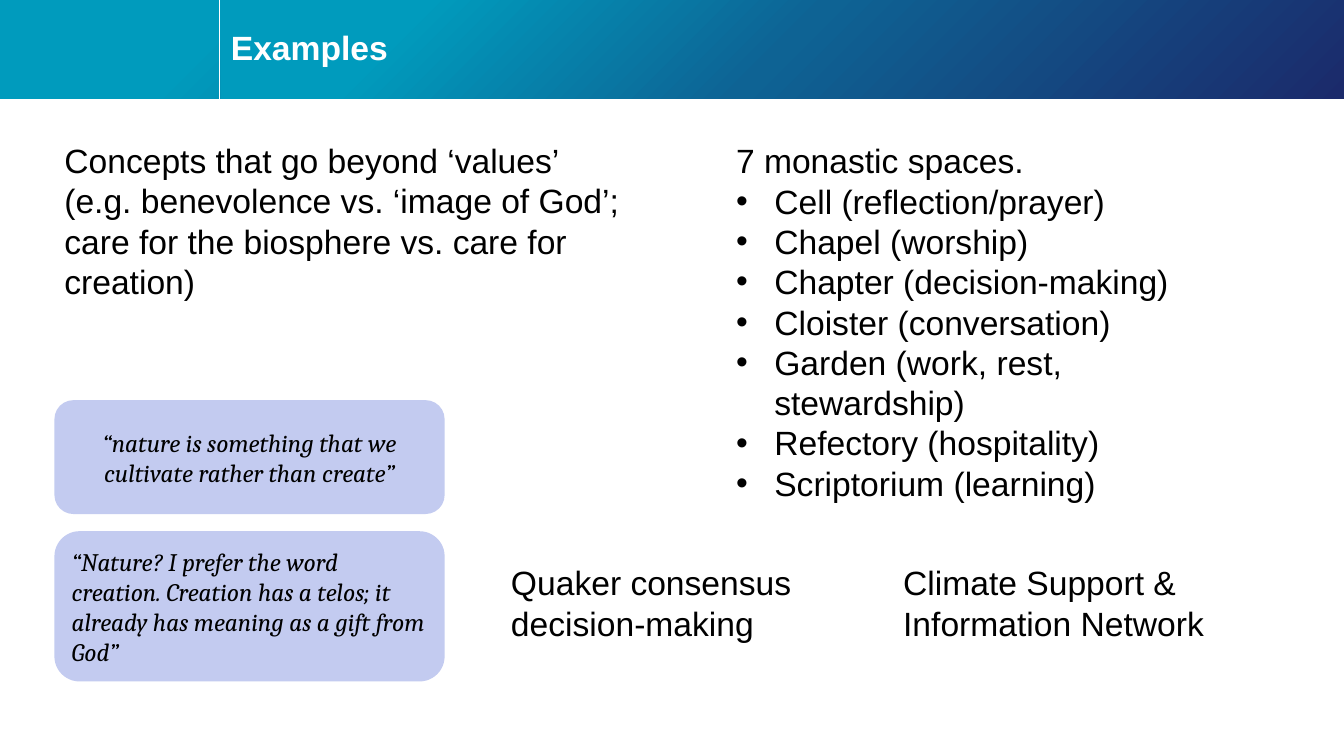
import copy

import pptx
import pptx.dml.color
import pptx.enum.shapes
import pptx.enum.text
import pptx.oxml.xmlchemy
import pptx.util
from pptx.util import Inches

RGBColor = pptx.dml.color.RGBColor
Align = pptx.enum.text.PP_ALIGN
Anchor = pptx.enum.text.MSO_ANCHOR
ShapeType = pptx.enum.shapes.MSO_SHAPE
new_element = pptx.oxml.xmlchemy.OxmlElement

WHITE = RGBColor(0xFF, 0xFF, 0xFF)
BLACK = RGBColor(0x00, 0x00, 0x00)
LAVENDER = RGBColor(0xC3, 0xCB, 0xF0)
TEAL = RGBColor(0x00, 0x9B, 0xBD)
BLUE = RGBColor(0x0E, 0x63, 0x94)
NAVY = RGBColor(0x1B, 0x2A, 0x6B)
BAND_STOPS = [(0.17, TEAL), (0.5, BLUE), (1.0, NAVY)]

SLIDE_WIDTH, SLIDE_HEIGHT = 13.33, 7.5
BAND_HEIGHT, DIVIDER_LEFT = 0.98, 2.18
MARGIN_LEFT, QUOTE_WIDTH = 0.54, 3.87
NOTE_TOP, NOTE_WIDTH, NOTE_HEIGHT = 5.53, 3.73, 0.91
BULLET_INDENT = 0.38

SPACES = [
    "Cell (reflection/prayer)",
    "Chapel (worship)",
    "Chapter (decision-making)",
    "Cloister (conversation)",
    "Garden (work, rest, stewardship)",
    "Refectory (hospitality)",
    "Scriptorium (learning)",
]


class SlideBuilder:
    """Holds the text style and the current slide."""

    font_name, font_size = "Arial", 24
    quote_font, quote_size = "Cambria", 18

    def __init__(self, presentation):
        self.slide = presentation.slides.add_slide(presentation.slide_layouts[1])

    def place(self, shape, left, top, width, height):
        shape.left, shape.top = Inches(left), Inches(top)
        shape.width, shape.height = Inches(width), Inches(height)

    def add_run(self, paragraph, text, color=BLACK, name=None, size=None,
                bold=False, italic=False):
        run = paragraph.add_run()
        run.text = text
        font = run.font
        font.name = name or self.font_name
        font.size = pptx.util.Pt(size or self.font_size)
        font.bold, font.italic = bold, italic
        font.color.rgb = color

    def prepare_frame(self, shape, anchor):
        frame = shape.text_frame
        frame.word_wrap = True
        frame.auto_size = pptx.enum.text.MSO_AUTO_SIZE.NONE
        frame.vertical_anchor = anchor
        return frame

    def add_box(self, kind, left, top, width, height):
        shape = self.slide.shapes.add_shape(
            kind, Inches(left), Inches(top), Inches(width), Inches(height))
        shape.shadow.inherit = False
        shape.line.fill.background()
        return shape

    def add_band(self, left, width):
        fill = self.add_box(ShapeType.RECTANGLE, left, 0, width, BAND_HEIGHT).fill
        fill.gradient()
        fill.gradient_angle = 315
        first_stop = fill.gradient_stops[0]._gs
        first_stop.addnext(copy.deepcopy(first_stop))
        for stop, (position, color) in zip(fill.gradient_stops, BAND_STOPS):
            stop.position = position
            stop.color.rgb = color

    def add_divider(self, left, height):
        line = self.slide.shapes.add_connector(
            pptx.enum.shapes.MSO_CONNECTOR.STRAIGHT,
            Inches(left), 0, Inches(left), Inches(height))
        line.line.color.rgb = WHITE
        line.line.width = pptx.util.Pt(0.5)
        line._element.spPr.append(new_element("a:effectLst"))

    def set_title(self, text, *bounds):
        title = self.slide.shapes.title
        title.element.getparent().append(title.element)  # in front of the bands
        self.place(title, *bounds)
        paragraph = self.prepare_frame(title, Anchor.MIDDLE).paragraphs[0]
        paragraph.alignment = Align.LEFT
        paragraph.line_spacing = 0.9
        self.add_run(paragraph, text, WHITE, bold=True)

    def add_quote(self, text, top, height, alignment):
        shape = self.add_box(ShapeType.ROUNDED_RECTANGLE, MARGIN_LEFT, top,
                             QUOTE_WIDTH, height)
        shape.fill.solid()
        shape.fill.fore_color.rgb = LAVENDER
        paragraph = self.prepare_frame(shape, Anchor.MIDDLE).paragraphs[0]
        paragraph.alignment = alignment
        self.add_run(paragraph, text, name=self.quote_font,
                     size=self.quote_size, italic=True)

    def add_text(self, lines, left, top, width, height):
        shape = self.slide.shapes.add_textbox(
            Inches(left), Inches(top), Inches(width), Inches(height))
        paragraph = self.prepare_frame(shape, Anchor.TOP).paragraphs[0]
        for index, line in enumerate(lines):
            if index:
                paragraph.add_line_break()
            self.add_run(paragraph, line)

    def set_bullet(self, paragraph, bulleted):
        indent = Inches(BULLET_INDENT) if bulleted else 0
        properties = paragraph._p.get_or_add_pPr()
        properties.set("marL", str(int(indent)))
        properties.set("indent", str(-int(indent)))
        if bulleted:
            font = new_element("a:buFont")
            font.set("typeface", self.font_name)
            bullet = new_element("a:buChar")
            bullet.set("char", "•")
            properties.extend([font, bullet])
        else:
            properties.append(new_element("a:buNone"))

    def set_list(self, heading, items, *bounds):
        body = self.slide.placeholders[1]
        self.place(body, *bounds)
        frame = self.prepare_frame(body, Anchor.TOP)
        for index, text in enumerate([heading, *items]):
            paragraph = frame.add_paragraph() if index else frame.paragraphs[0]
            paragraph.space_before = pptx.util.Pt(0)
            self.set_bullet(paragraph, index > 0)
            self.add_run(paragraph, text)


def main():
    presentation = pptx.Presentation()
    presentation.slide_width = Inches(SLIDE_WIDTH)
    presentation.slide_height = Inches(SLIDE_HEIGHT)
    builder = SlideBuilder(presentation)

    # Header
    title_left = DIVIDER_LEFT + 0.01
    title_width = SLIDE_WIDTH - title_left
    builder.add_band(0, SLIDE_WIDTH)
    builder.add_band(title_left, title_width)
    builder.add_divider(DIVIDER_LEFT, BAND_HEIGHT)
    builder.set_title("Examples", title_left, 0.11, title_width, 0.76)

    # Quotes
    builder.add_quote("“nature is something that we cultivate rather than create”",
                      3.97, 1.13, Align.CENTER)
    builder.add_quote("“Nature? I prefer the word creation. Creation has a telos; "
                      "it already has meaning as a gift from God”",
                      5.27, 1.49, Align.LEFT)

    # Concepts and monastic spaces
    builder.add_text(["Concepts that go beyond ‘values’",
                      "(e.g. benevolence vs. ‘image of God’; care for the "
                      "biosphere vs. care for creation)"],
                     MARGIN_LEFT, 1.34, 5.97, 2.12)
    builder.set_list("7 monastic spaces.", SPACES, 7.2, 1.34, 4.71, 3.74)

    # Further examples
    for left, text in [(4.97, "Quaker consensus decision-making"),
                       (8.86, "Climate Support & Information Network")]:
        builder.add_text([text], left, NOTE_TOP, NOTE_WIDTH, NOTE_HEIGHT)

    presentation.save("out.pptx")


if __name__ == "__main__":
    main()
